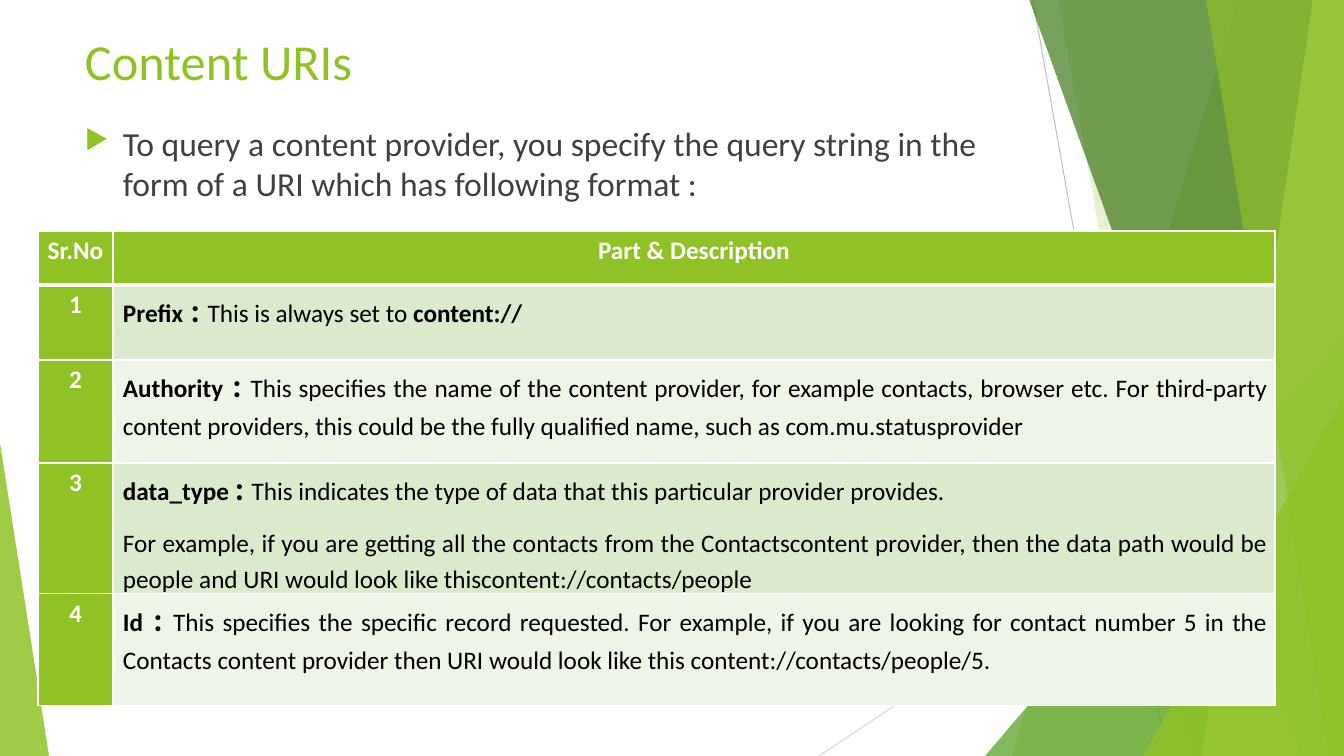
import lxml.etree
import pptx
import pptx.dml.color
import pptx.enum.shapes
import pptx.enum.text
import pptx.oxml.ns
import pptx.util

EMU_PER_PX = 914400 / 100.8
WIDTH, HEIGHT = 1344, 756
GREEN, WHITE, BLACK = "90C226", "FFFFFF", "000000"
ALIGN = pptx.enum.text.PP_ALIGN
qn = pptx.oxml.ns.qn


def px(length):
    return pptx.util.Emu(round(length * EMU_PER_PX))


def rgb(value):
    return pptx.dml.color.RGBColor.from_string(value)


def child(parent, tag, **attributes):
    return lxml.etree.SubElement(parent, qn(tag), attributes)


class Painter:
    """Draws styled elements on the current slide."""

    def __init__(self, page, font="Calibri"):
        self.page = page
        self.shapes = page.shapes
        self.font = font

    def style(self, font, size=None, colour=None, bold=None):
        font.name = self.font
        if size:
            font.size = pptx.util.Pt(size)
        if colour:
            font.color.rgb = rgb(colour)
        font.bold = bold

    def line(self, start, end, colour):
        line = self.shapes.add_connector(
            pptx.enum.shapes.MSO_CONNECTOR.STRAIGHT, *map(px, start + end))
        line.line.color.rgb = rgb(colour)
        line.line.width = pptx.util.Pt(0.75)
        child(line._element.spPr, "a:effectLst")

    def paint(self, shape, colour, opacity):
        shape.shadow.inherit = False
        shape.fill.solid()
        shape.fill.fore_color.rgb = rgb(colour)
        shape.line.fill.background()
        tint = next(shape._element.spPr.iter(qn("a:srgbClr")))
        child(tint, "a:alpha", val=str(opacity * 1000))

    def band(self, top_x, bottom_x, colour, opacity):
        outline = self.shapes.build_freeform(top_x, -1, scale=EMU_PER_PX)
        outline.add_line_segments([(WIDTH, -1), (WIDTH, HEIGHT), (bottom_x, HEIGHT)])
        self.paint(outline.convert_to_shape(), colour, opacity)

    def triangle(self, left, top, width, peak, colour, opacity):
        shape = self.shapes.add_shape(
            pptx.enum.shapes.MSO_SHAPE.ISOSCELES_TRIANGLE,
            px(left), px(top), px(width), px(HEIGHT - top))
        shape.adjustments[0] = peak
        self.paint(shape, colour, opacity)

    def text(self, left, top, width, height, words, size, colour, bullet=None):
        box = self.shapes.add_textbox(px(left), px(top), px(width), px(height))
        box.text_frame.word_wrap = True
        para = box.text_frame.paragraphs[0]
        para.text = words
        if bullet:
            props = para._p.get_or_add_pPr()
            props.set("marL", str(px(38)))
            props.set("indent", str(px(-38)))
            child(child(props, "a:buClr"), "a:srgbClr", val=GREEN)
            child(props, "a:buSzPct", val="80000")
            child(props, "a:buChar", char=bullet)
        self.style(para.font, size, colour)

    def space(self, para, align):
        para.alignment = align
        para.line_spacing = 1.15
        para.space_after = pptx.util.Pt(10)

    def cell(self, cell, fill, top_width, bottom_width):
        cell.margin_left = cell.margin_right = px(7)
        cell.margin_top = cell.margin_bottom = 0
        props = cell._tc.get_or_add_tcPr()
        for side, width in zip("LRTB", (1, 1, top_width, bottom_width)):
            border = child(props, f"a:ln{side}", w=str(pptx.util.Pt(width)))
            child(child(border, "a:solidFill"), "a:srgbClr", val=WHITE)
        cell.fill.solid()
        cell.fill.fore_color.rgb = rgb(fill)

    def label(self, cell, words):
        para = cell.text_frame.paragraphs[0]
        para.text = words
        self.space(para, ALIGN.CENTER)
        self.style(para.font, 18, WHITE, True)

    def description(self, cell, paragraphs):
        frame = cell.text_frame
        for index, spans in enumerate(paragraphs):
            para = frame.add_paragraph() if index else frame.paragraphs[0]
            para._p.get_or_add_pPr().set("marL", str(px(3)))
            self.space(para, ALIGN.JUSTIFY)
            self.style(para.font, colour=BLACK)
            for words, size, bold in spans:
                span = para.add_run()
                span.text = words
                self.style(span.font, size, BLACK, bold)

    def table(self, left, top, widths, heights, headings, entries):
        table = self.shapes.add_table(
            len(heights), len(widths), px(left), px(top),
            px(sum(widths)), px(sum(heights))).table
        table.first_col = True
        for column, width in zip(table.columns, widths):
            column.width = px(width)
        for index, (row, height) in enumerate(zip(table.rows, heights)):
            row.height = px(height)
            stripe = "DBE9CD" if index % 2 else "EEF4E8"
            for cell, fill in zip(row.cells, (GREEN, stripe if index else GREEN)):
                self.cell(cell, fill, 3 if index == 1 else 1, 1 if index else 3)
        for column, heading in enumerate(headings):
            self.label(table.cell(0, column), heading)
        for number, paragraphs in enumerate(entries, 1):
            self.label(table.cell(number, 0), str(number))
            self.description(table.cell(number, 1), paragraphs)


def term(name, colon, words):
    return [(name, 18, True), (colon, 24, True), (words, 18, False)]


ENTRIES = [
    [term("Prefix", " : ", "This is always set to ") + [("content://", 18, True)]],
    [term("Authority", " : ",
          "This specifies the name of the content provider, for example contacts, browser etc. "
          "For third-party content providers, this could be the fully qualified name, "
          "such as com.mu.statusprovider")],
    [term("data_type ", ": ",
          "This indicates the type of data that this particular provider provides. "),
     [("For example, if you are getting all the contacts from the Contactscontent provider, "
       "then the data path would be people and URI would look like "
       "thiscontent://contacts/people", 18, False)]],
    [term("Id", " : ",
          "This specifies the specific record requested. For example, if you are looking for "
          "contact number 5 in the Contacts content provider then URI would look like "
          "this content://contacts/people/5.")],
]


def main():
    deck = pptx.Presentation()
    deck.slide_width, deck.slide_height = px(WIDTH), px(HEIGHT)
    painter = Painter(deck.slides.add_slide(deck.slide_layouts[6]))

    painter.line((1033, 0), (1167, HEIGHT), "BFBFBF")
    painter.line((WIDTH, 406), (819, HEIGHT), "D9D9D9")
    painter.band(1238, 1012, GREEN, 30)
    painter.band(1058, 1192, GREEN, 20)
    painter.triangle(985, 336, 359, 1, "54A021", 72)
    painter.band(1029, 1301, "3F7819", 70)
    painter.band(1313, 1202, "C0E474", 70)
    painter.band(1206, 1329, GREEN, 65)
    painter.triangle(1143, 396, 201, 1, GREEN, 80)
    painter.triangle(0, 443, 49, 0, GREEN, 85)

    painter.text(75, 25, 947, 81, "Content URIs", 36, GREEN)
    painter.text(75, 118, 947, 90,
                 "To query a content provider, you specify the query string in the "
                 "form of a URI which has following format :", 24, "404040", "▶")
    painter.table(38, 231, (75, 1162), (54, 75, 103, 131, 112),
                  ("Sr.No", "Part & Description"), ENTRIES)
    deck.save("out.pptx")


if __name__ == "__main__":
    main()
